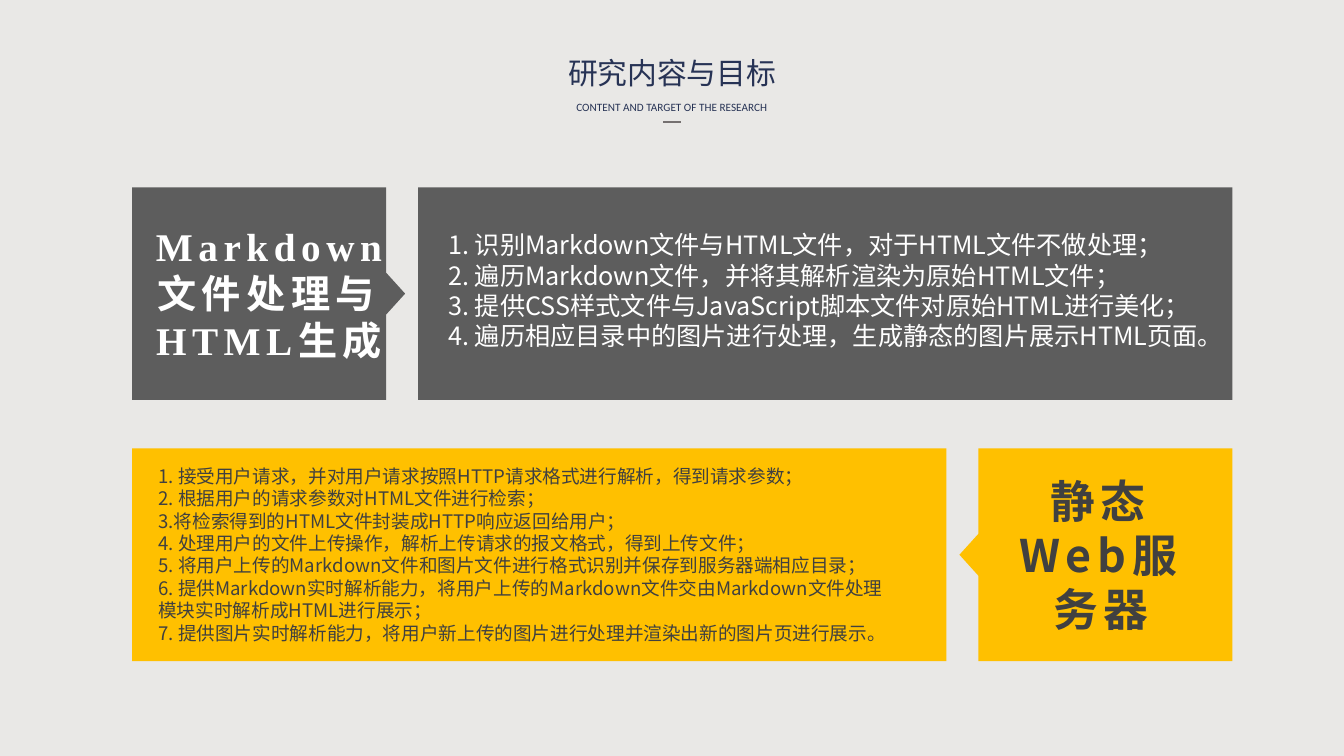
from pptx import Presentation
from pptx import util as u
from pptx.dml.color import RGBColor
from pptx.enum import shapes, text
from pptx.oxml.ns import qn
from lxml import etree

# Content
TITLE = "研究内容与目标"
SUBTITLE = "CONTENT AND TARGET OF THE RESEARCH"
SECTIONS = [
    {
        "style": "generator", "top": 4.72, "head_side": "left",
        "heading": ["Markdown", "文件处理与HTML生成"],
        "heading_box": (3.58, 5.61, 6.4, 3.58),
        "items": [
            "1. 识别Markdown文件与HTML文件，对于HTML文件不做处理；",
            "2. 遍历Markdown文件，并将其解析渲染为原始HTML文件；",
            "3. 提供CSS样式文件与JavaScript脚本文件对原始HTML进行美化；",
            "4. 遍历相应目录中的图片进行处理，生成静态的图片展示HTML页面。",
        ],
        "items_box": (11.3, 5.79, 19.23, 3.07),
    },
    {
        "style": "server", "top": 11.3, "head_side": "right",
        "heading": ["静态Web服务器"],
        "heading_box": (25.6, 11.94, 4.29, 4.11),
        "items": [
            "1. 接受用户请求，并对用户请求按照HTTP请求格式进行解析，得到请求参数；",
            "2. 根据用户的请求参数对HTML文件进行检索；",
            "3.将检索得到的HTML文件封装成HTTP响应返回给用户；",
            "4. 处理用户的文件上传操作，解析上传请求的报文格式，得到上传文件；",
            "5. 将用户上传的Markdown文件和图片文件进行格式识别并保存到服务器端相应目录；",
            "6. 提供Markdown实时解析能力，将用户上传的Markdown文件交由Markdown文件"
            "处理模块实时解析成HTML进行展示；",
            "7. 提供图片实时解析能力，将用户新上传的图片进行处理并渲染出新的图片页进行展示。",
        ],
        "items_box": (3.99, 11.71, 18.39, 4.55),
    },
]

# Theme: colours, fonts and type sizes
SANS = "Noto Sans CJK SC"
THEME = {
    "background": "E9E8E6",
    "rule": "757070",
    "title": {"size": 21.3, "font": SANS, "color": "273355"},
    "subtitle": {"size": 8, "font": "Calibri", "color": "273355"},
    "generator": {
        "fill": "5D5D5D",
        "heading": {"size": 28, "font": "Times New Roman", "color": "FFFFFF",
                    "bold": True, "tracking": 4},
        "items": {"size": 18, "font": SANS, "color": "FFFFFF"},
    },
    "server": {
        "fill": "FFC000",
        "heading": {"size": 32, "font": SANS, "color": "404040",
                    "bold": True, "tracking": 4},
        "items": {"size": 13.3, "font": SANS, "color": "404040"},
    },
}

# Geometry in centimetres
LEFT, RIGHT = 3.33, 31.06
PANEL_WIDTH, HEAD_WIDTH, BAND_HEIGHT = 20.52, 6.4, 5.36
TIP_DEPTH, TIP_HALF = 0.48, 0.53
LINE_RATIO = 1.2


def rgb(value):
    return RGBColor.from_string(value)


def apply(target, values):
    for name, value in values.items():
        setattr(target, name, value)


def place(shape, box):
    names = ("left", "top", "width", "height")
    apply(shape, dict(zip(names, map(u.Cm, box))))


def paint(shape, color):
    shape.shadow.inherit = False
    shape.fill.solid()
    shape.fill.fore_color.rgb = rgb(color)
    shape.line.fill.background()


def write(shape, lines, style, align, wrap=True, anchor=text.MSO_ANCHOR.TOP):
    frame = shape.text_frame
    apply(frame, {
        "margin_left": 0, "margin_right": 0, "margin_top": 0, "margin_bottom": 0,
        "auto_size": text.MSO_AUTO_SIZE.NONE, "word_wrap": wrap,
        "vertical_anchor": anchor,
    })
    frame.text = "\n".join(lines)
    for paragraph in frame.paragraphs:
        apply(paragraph, {
            "alignment": align, "space_before": u.Pt(0), "space_after": u.Pt(0),
            "line_spacing": u.Pt(round(style["size"] * LINE_RATIO, 1)),
        })
        run = paragraph.runs[0]
        apply(run.font, {"size": u.Pt(style["size"]), "name": style["font"],
                         "bold": style.get("bold", False)})
        run.font.color.rgb = rgb(style["color"])
        properties = run.font._element
        properties.set("spc", str(style.get("tracking", 0) * 100))
        latin = properties.find(qn("a:latin"))
        east_asian = etree.Element(qn("a:ea"), typeface=SANS)
        latin.addnext(east_asian)


def add_text(slide, box, *args, **options):
    shape = slide.shapes.add_textbox(*map(u.Cm, box))
    write(shape, *args, **options)


def add_head(slide, outer, direction, top, color):
    """Heading block whose tip points towards its panel."""
    inner = outer + direction * HEAD_WIDTH
    middle, bottom = top + BAND_HEIGHT / 2, top + BAND_HEIGHT
    points = [
        (outer, top), (inner, top), (inner, middle - TIP_HALF),
        (inner + direction * TIP_DEPTH, middle), (inner, middle + TIP_HALF),
        (inner, bottom), (outer, bottom),
    ]
    outline = [(u.Cm(x), u.Cm(y)) for x, y in points]
    builder = slide.shapes.build_freeform(*outline[0])
    builder.add_line_segments(outline[1:], close=True)
    paint(builder.convert_to_shape(), color)


def add_section(slide, section):
    style, top = THEME[section["style"]], section["top"]
    on_left = section["head_side"] == "left"
    panel_left = RIGHT - PANEL_WIDTH if on_left else LEFT
    panel = slide.shapes.add_shape(
        shapes.MSO_SHAPE.RECTANGLE,
        *map(u.Cm, (panel_left, top, PANEL_WIDTH, BAND_HEIGHT)))
    paint(panel, style["fill"])
    outer, direction = (LEFT, 1) if on_left else (RIGHT, -1)
    add_head(slide, outer, direction, top, style["fill"])
    add_text(slide, section["items_box"], section["items"], style["items"],
             text.PP_ALIGN.LEFT)
    add_text(slide, section["heading_box"], section["heading"], style["heading"],
             text.PP_ALIGN.CENTER)


def add_header(slide):
    centred = {"align": text.PP_ALIGN.CENTER, "wrap": False,
               "anchor": text.MSO_ANCHOR.MIDDLE}
    title = slide.shapes.title
    place(title, (14.02, 1.24, 5.84, 1.17))
    write(title, [TITLE], THEME["title"], **centred)
    add_text(slide, (14.27, 2.39, 5.33, 0.61), [SUBTITLE], THEME["subtitle"], **centred)
    rule = slide.shapes.add_connector(
        shapes.MSO_CONNECTOR.STRAIGHT, *map(u.Cm, (16.71, 3.07, 17.17, 3.07)))
    rule.line.color.rgb = rgb(THEME["rule"])
    rule.line.width = u.Pt(1.5)
    etree.SubElement(rule._element.spPr, qn("a:effectLst"))


def main():
    presentation = Presentation()
    apply(presentation, {"slide_width": u.Cm(33.87), "slide_height": u.Cm(19.05)})
    slide = presentation.slides.add_slide(presentation.slide_layouts[5])
    slide.background.fill.solid()
    slide.background.fill.fore_color.rgb = rgb(THEME["background"])
    add_header(slide)
    for section in SECTIONS:
        add_section(slide, section)
    presentation.save("out.pptx")


if __name__ == "__main__":
    main()
